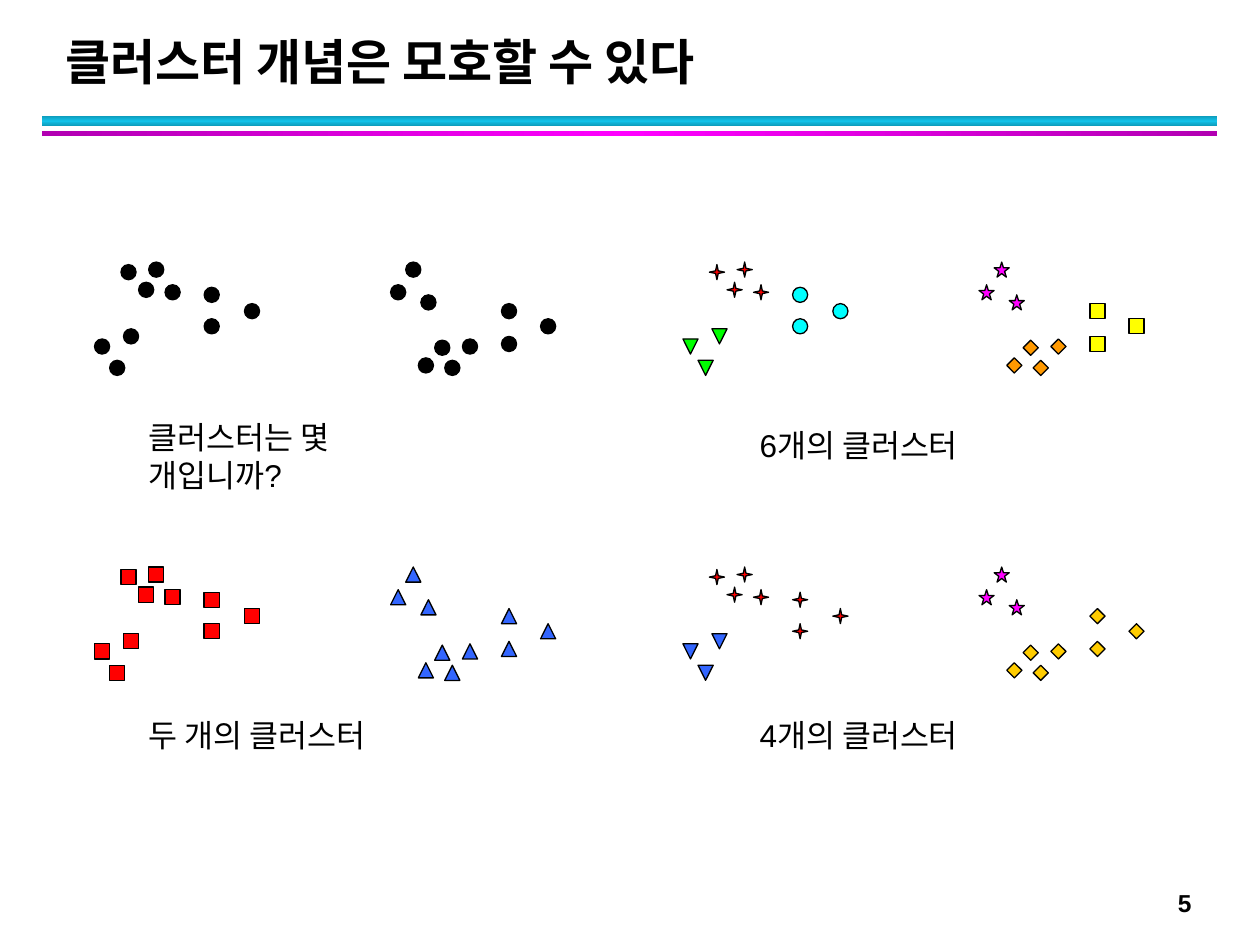
from copy import deepcopy

from pptx import Presentation
from pptx.dml.color import RGBColor
from pptx.enum import shapes, text
from pptx.oxml.ns import qn
from pptx.util import Inches, Pt

Marker = shapes.MSO_SHAPE


def rgb(hex_string):
    return RGBColor.from_string(hex_string)


def add_text(parent, words, left, top, width, height, size=18, font="Arial",
             bold=False, anchor=text.MSO_ANCHOR.TOP, line_spacing=None,
             grow=True):
    """Put one line of black text in a wrapping box; lengths are in inches."""
    box = parent.add_textbox(Inches(left), Inches(top), Inches(width), Inches(height))
    frame = box.text_frame
    frame.word_wrap = True
    frame.vertical_anchor = anchor
    if grow:
        frame.auto_size = text.MSO_AUTO_SIZE.SHAPE_TO_FIT_TEXT
    paragraph = frame.paragraphs[0]
    paragraph.line_spacing = line_spacing
    run = paragraph.add_run()
    run.text = words
    run.font.size = Pt(size)
    run.font.name = font
    run.font.bold = bold
    run.font.color.rgb = rgb("000000")


deck = Presentation()
deck.slide_width, deck.slide_height = Inches(10), Inches(7.5)
slide = deck.slides.add_slide(deck.slide_layouts[6])

# Two gradient rules under the title: top, height, edge, middle, angle
rules = [
    (0.92, 0.08, "0E9BBA", "12C2E9", 90),
    (1.04, 0.04, "B200B2", "FF00FF", 0),
]
for top, height, edge, middle, angle in rules:
    rule = slide.shapes.add_shape(Marker.RECTANGLE, Inches(0.33), Inches(top),
                                  Inches(9.33), Inches(height))
    rule.shadow.inherit = False
    rule.line.fill.background()
    rule.fill.gradient()
    rule.fill.gradient_angle = angle
    stop_list = rule.element.spPr.find(qn("a:gradFill")).find(qn("a:gsLst"))
    stop_list.insert(1, deepcopy(stop_list[0]))
    for stop, position, color in zip(rule.fill.gradient_stops, (0, 0.5, 1),
                                     (edge, middle, edge)):
        stop.position = position
        stop.color.rgb = rgb(color)

add_text(slide.shapes, "5", 9.25, 7, 0.44, 0.34, size=14, bold=True)
add_text(slide.shapes, "클러스터 개념은 모호할 수 있다", 0.42, 0.17, 9.06, 0.6,
         size=28, font="Noto Sans", bold=True, anchor=text.MSO_ANCHOR.BOTTOM,
         line_spacing=Pt(36), grow=False)

# The same twenty points appear in every panel, as six natural clumps
marker_size = 0.12
clumps = [
    [(3.67, 2.69), (3.32, 2.84), (3.53, 2.86), (3.45, 2.70)],
    [(3.34, 2.34), (3.10, 2.26), (3.22, 2.08)],
    [(3.98, 2.67), (4.29, 2.53), (3.98, 2.41)],
    [(1.31, 2.26), (0.96, 2.10), (1.18, 2.08), (1.10, 2.24)],
    [(0.98, 2.61), (0.75, 2.69), (0.87, 2.86)],
    [(1.62, 2.28), (1.94, 2.41), (1.62, 2.53)],
]
first_flipped_clump = 3
column_step, row_step = 4.67, 2.42

black_dot = (Marker.OVAL, "000000")
red_square = (Marker.RECTANGLE, "FF0000")
blue_triangle = (Marker.ISOSCELES_TRIANGLE, "3366FF")
red_star = (Marker.STAR_4_POINT, "FF0000")
pink_star = (Marker.STAR_5_POINT, "FF00FF")
gold_diamond = (Marker.DIAMOND, "FFCC00")

# Column, row, caption, caption position, one marker style per clump
panels = [
    (0, 0, "클러스터는 몇 개입니까?", 1.08, 3.27, [black_dot] * 6),
    (1, 1, "4개의 클러스터", 5.93, 5.63,
     [gold_diamond, pink_star, gold_diamond,
      red_star, (Marker.FLOWCHART_EXTRACT, "3366FF"), red_star]),
    (0, 1, "두 개의 클러스터", 1.08, 5.63, [blue_triangle] * 3 + [red_square] * 3),
    (1, 0, "6개의 클러스터", 5.93, 3.33,
     [(Marker.DIAMOND, "FF9900"), pink_star, (Marker.RECTANGLE, "FFFF00"),
      red_star, (Marker.ISOSCELES_TRIANGLE, "00FF00"), (Marker.OVAL, "00FFFF")]),
]
for column, row, caption, caption_left, caption_top, styles in panels:
    panel = slide.shapes.add_group_shape()
    for clump_number, (points, (outline, color)) in enumerate(zip(clumps, styles)):
        for x, y in points:
            point = panel.shapes.add_shape(
                outline, Inches(x + column * column_step), Inches(y + row * row_step),
                Inches(marker_size), Inches(marker_size))
            point.shadow.inherit = False
            point.fill.solid()
            point.fill.fore_color.rgb = rgb(color)
            point.line.color.rgb = rgb("000000")
            point.line.width = Pt(0.75)
            if outline == Marker.STAR_4_POINT:
                point.adjustments[0] = 0.125
            if clump_number >= first_flipped_clump:
                point.element.spPr.find(qn("a:xfrm")).set("flipV", "1")
    add_text(panel.shapes, caption, caption_left, caption_top, 2.5, 0.4)

deck.save("out.pptx")
